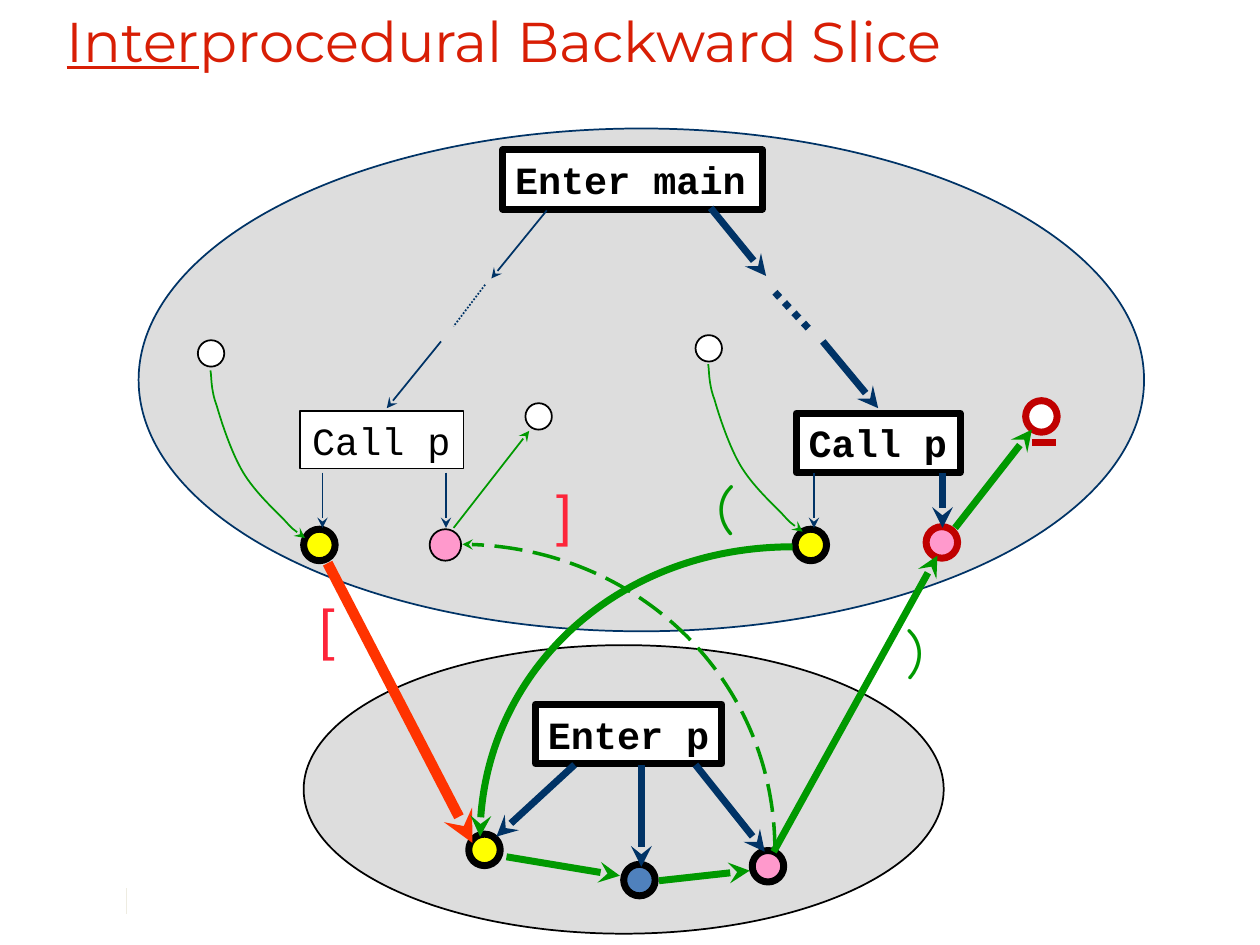
"""Build the interprocedural backward slice diagram as one slide."""
from lxml.etree import SubElement
from pptx import Presentation
from pptx.dml.color import RGBColor
from pptx.enum.dml import MSO_LINE as DASH
from pptx.enum.shapes import MSO_CONNECTOR, MSO_SHAPE as SHAPE
from pptx.enum.text import MSO_ANCHOR, PP_ALIGN
from pptx.oxml.ns import qn
from pptx.util import Pt

PX = 9144
BLACK = RGBColor(0x00, 0x00, 0x00)
WHITE = RGBColor(0xFF, 0xFF, 0xFF)
GREY = RGBColor(0xDD, 0xDD, 0xDD)
CREAM = RGBColor(0xEE, 0xEC, 0xE1)
NAVY = RGBColor(0x00, 0x33, 0x66)
BLUE = RGBColor(0x4F, 0x81, 0xBD)
YELLOW = RGBColor(0xFF, 0xFF, 0x00)
PINK = RGBColor(0xFF, 0x99, 0xCC)
GREEN = RGBColor(0x00, 0x99, 0x00)
MAROON = RGBColor(0xC0, 0x00, 0x00)
ORANGE = RGBColor(0xFF, 0x33, 0x00)
RED = RGBColor(0xFD, 0x25, 0x3A)
TITLE_RED = RGBColor(0xD8, 0x1E, 0x05)

prs = Presentation()
prs.slide_width, prs.slide_height = 1000 * PX, 750 * PX
s = prs.slides.add_slide(prs.slide_layouts[6])


def style_line(sp, color, width, dash=None, arrow=True):
    sp.line.color.rgb = color
    sp.line.width = Pt(width)
    if dash:
        sp.line.dash_style = dash
    if arrow:
        SubElement(sp.line._get_or_add_ln(), qn("a:tailEnd"), type="stealth")


def write(sp, text, font, size, color, bold=False):
    tf = sp.text_frame
    tf.word_wrap = False
    tf.vertical_anchor = MSO_ANCHOR.TOP
    p = tf.paragraphs[0]
    p.text = text
    p.alignment = PP_ALIGN.LEFT
    for r in p.runs:
        r.font.name, r.font.size, r.font.bold = font, Pt(size), bold
        r.font.color.rgb = color
    return p


shapes = [
    (SHAPE.OVAL, 110, 102, 798, 399, GREY, NAVY, 1, ""),
    (SHAPE.OVAL, 241, 512, 508, 229, GREY, BLACK, 1, ""),
    (SHAPE.RECTANGLE, 399, 119, 206, 47, WHITE, BLACK, 4, "Enter main"),
    (SHAPE.RECTANGLE, 632, 328, 130, 47, WHITE, BLACK, 4, "Call p"),
    (SHAPE.RECTANGLE, 425, 559, 148, 47, WHITE, BLACK, 4, "Enter p"),
    (SHAPE.RECTANGLE, 238, 326, 130, 46, WHITE, BLACK, 1, "Call p"),
]
nodes = [
    (241, 420, 25, YELLOW, BLACK, 4),
    (341, 420, 25, PINK, BLACK, 1),
    (417, 320, 21, WHITE, BLACK, 1),
    (631, 420, 25, YELLOW, BLACK, 4),
    (735, 418, 25, PINK, MAROON, 4),
    (372, 662, 25, YELLOW, BLACK, 4),
    (495, 686, 25, BLUE, BLACK, 4),
    (597, 675, 25, PINK, BLACK, 4),
    (157, 270, 21, WHITE, BLACK, 1),
    (552, 266, 21, WHITE, BLACK, 1),
    (814, 318, 25, WHITE, MAROON, 4),
]
shapes += [(SHAPE.OVAL, x, y, d, d, fill, line, width, "")
           for x, y, d, fill, line, width in nodes]
for kind, x, y, w, h, fill, line, width, text in shapes:
    sp = s.shapes.add_shape(kind, x * PX, y * PX, w * PX, h * PX)
    sp.shadow.inherit = False
    sp.fill.solid()
    sp.fill.fore_color.rgb = fill
    style_line(sp, line, width, arrow=False)
    if text:
        write(sp, text, "Courier New", 22, BLACK, bold=width > 1)

lines = [
    (100, 705, 100, 725, CREAM, 0.25, None, False),
    (434, 167, 390, 221, NAVY, 1, None, True),
    (564, 165, 608, 219, NAVY, 4, None, True),
    (456, 607, 394, 664, NAVY, 4, None, True),
    (552, 607, 607, 676, NAVY, 4, None, True),
    (509, 607, 509, 688, NAVY, 4, None, True),
    (350, 271, 307, 324, NAVY, 1, None, True),
    (653, 271, 697, 324, NAVY, 4, None, True),
    (385, 226, 360, 259, NAVY, 1, DASH.ROUND_DOT, False),
    (615, 232, 642, 261, NAVY, 4, DASH.ROUND_DOT, False),
    (256, 375, 256, 419, NAVY, 1, None, True),
    (354, 375, 354, 419, NAVY, 1, None, True),
    (646, 375, 646, 419, NAVY, 1, None, True),
    (748, 375, 748, 419, NAVY, 4, None, True),
    (614, 676, 744, 441, GREEN, 4, None, True),
    (360, 419, 420, 342, GREEN, 1, None, True),
    (402, 680, 492, 695, GREEN, 4, None, True),
    (523, 699, 595, 691, GREEN, 4, None, True),
    (819, 351, 838, 351, MAROON, 4, None, False),
    (260, 447, 375, 669, ORANGE, 6, None, True),
    (758, 419, 819, 341, GREEN, 4, None, True),
]
for x1, y1, x2, y2, color, width, dash, arrow in lines:
    sp = s.shapes.add_connector(MSO_CONNECTOR.STRAIGHT, x1 * PX, y1 * PX, x2 * PX, y2 * PX)
    style_line(sp, color, width, dash, arrow)
    SubElement(sp._element.spPr, qn("a:effectLst"))

bend = [(0, 0), (1, 4), (0, 15), (5, 28), (9, 42), (17, 66), (26, 81),
        (35, 96), (50, 110), (58, 118), (66, 127), (71, 130), (75, 133)]
curves = [
    ([(629, 434), (492, 434), (381, 537), (381, 664)], 4, None),
    ([(615, 675), (615, 541), (505, 433), (367, 432)], 2, DASH.LONG_DASH),
]
curves += [([(left + x, top + y) for x, y in bend], 1, None)
           for left, top in [(167, 294), (562, 289)]]
for points, width, dash in curves:
    builder = s.shapes.build_freeform(*points[0], scale=PX)
    builder.add_line_segments(points[1:], close=False)
    sp = builder.convert_to_shape()
    path = sp._element.spPr.find(".//" + qn("a:path"))
    path.set("fill", "none")
    segments = path.findall(qn("a:lnTo"))
    for i in range(0, len(segments), 3):
        bezier = SubElement(path, qn("a:cubicBezTo"))
        for segment in segments[i:i + 3]:
            bezier.append(segment[0])
            path.remove(segment)
    sp.shadow.inherit = False
    sp.fill.background()
    style_line(sp, GREEN, width, dash)

title = s.shapes.add_textbox(43 * PX, 0, 920 * PX, 96 * PX)
p = write(title, "Inter", "Montserrat", 32, TITLE_RED)
p.runs[0].font.underline = True
r = p.add_run()
r.text = "procedural Backward Slice"
r.font.name, r.font.size = "Montserrat", Pt(32)
r.font.color.rgb = TITLE_RED
title.text_frame.word_wrap = True

brackets = [
    ("(", 559, 371, 37, "Comic Neue", GREEN),
    (")", 709, 485, 37, "Comic Neue", GREEN),
    ("]", 432, 376, 33, "Arial", RED),
    ("[", 244, 466, 33, "Arial", RED),
]
for text, x, y, w, font, color in brackets:
    sp = s.shapes.add_textbox(x * PX, y * PX, w * PX, 64 * PX)
    write(sp, text, font, 32, color)

prs.save("out.pptx")
